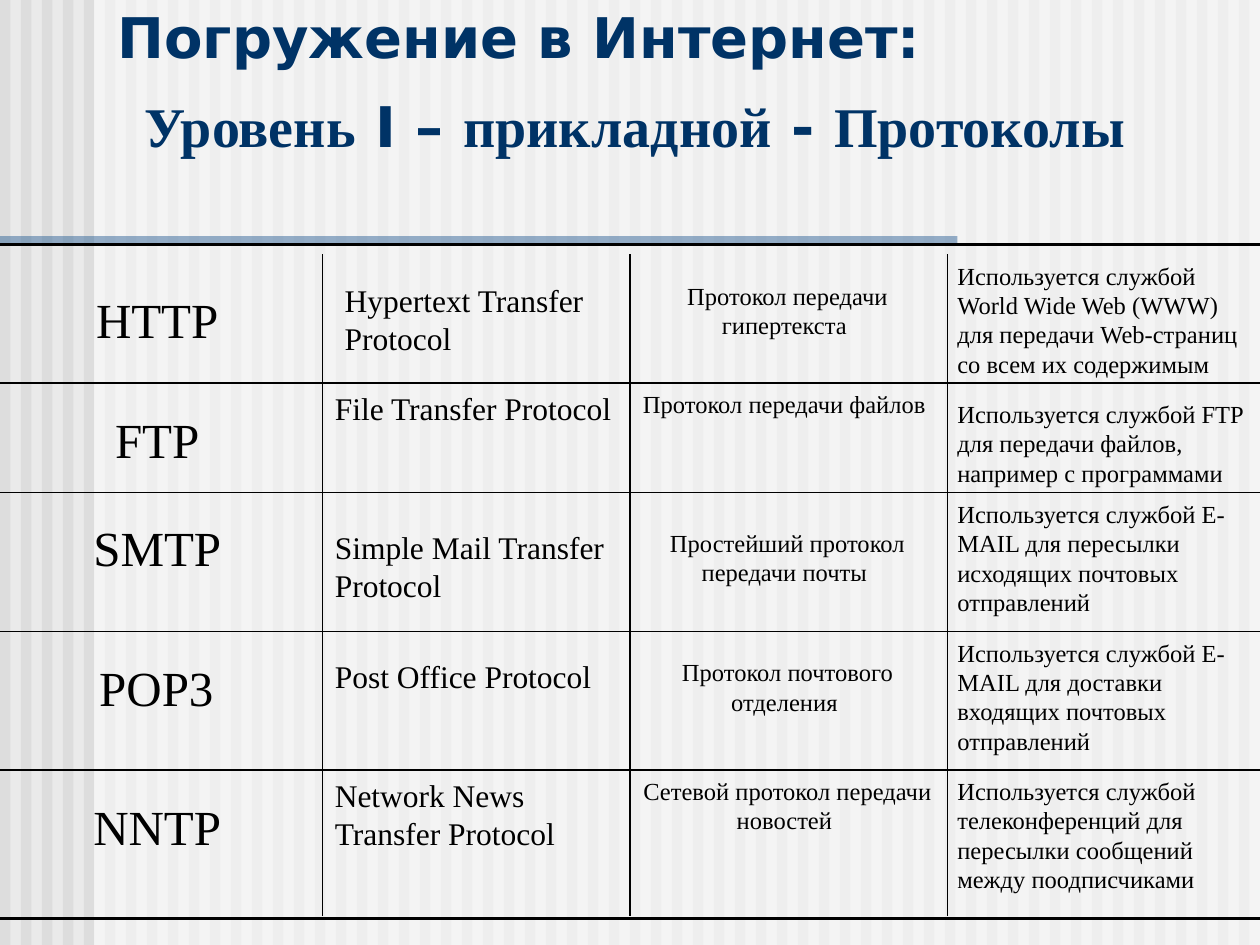
from lxml.etree import SubElement
from pptx import Presentation
from pptx.dml.color import RGBColor
from pptx.enum.shapes import MSO_CONNECTOR, MSO_SHAPE
from pptx.enum.text import MSO_ANCHOR, PP_ALIGN
from pptx.oxml.ns import qn
from pptx.util import Cm, Pt


def color(value):
    return RGBColor.from_string(value)


def add_band(left, top, width, height, fill, opacity=100):
    band = page.shapes.add_shape(MSO_SHAPE.RECTANGLE, Cm(left), Cm(top), Cm(width), Cm(height))
    band.shadow.inherit = False
    band.line.fill.background()
    band.fill.solid()
    band.fill.fore_color.rgb = color(fill)
    if opacity < 100:
        tint = band.fill._xPr.find(".//" + qn("a:srgbClr"))
        SubElement(tint, qn("a:alpha"), val=str(opacity * 1000))


WIDTH, HEIGHT = 25.4, 19.05
SERIF, SANS = "Times New Roman", "DejaVu Sans"

deck = Presentation()
deck.slide_width, deck.slide_height = Cm(WIDTH), Cm(HEIGHT)
page = deck.slides.add_slide(deck.slide_layouts[6])

# Striped background, white veil and accent bar
page.background.fill.solid()
page.background.fill.fore_color.rgb = color("EAEAEA")
STRIPES = 60
for number in range(STRIPES):
    add_band(number * WIDTH / STRIPES, 0, WIDTH / STRIPES / 2, HEIGHT, "DDDDDD")
add_band(1.9, 0, WIDTH - 1.9, HEIGHT, "FFFFFF", 50)
add_band(0, 4.76, 19.3, 0.2, "336699", 50)

# Title
title = page.shapes.add_textbox(Cm(2.12), Cm(-0.08), Cm(21.59), Cm(3.48))
title.text_frame.word_wrap = True
title.text_frame.vertical_anchor = MSO_ANCHOR.BOTTOM
para = title.text_frame.paragraphs[0]
title_spans = [
    ("Погружение в Интернет:", SANS, 32),
    (" ", SANS, 44),
    ("Уровень", SERIF, 32),
    (" I – ", SANS, 32),
    ("прикладной", SERIF, 32),
    (" - ", SANS, 32),
    ("Протоколы", SERIF, 32),
]
for index, (text, font, size) in enumerate(title_spans):
    if index == 1:
        para.add_line_break()
    span = para.add_run()
    span.text = text
    span.font.name, span.font.size = font, Pt(size)
para.font.bold = True
para.font.color.rgb = color("003366")

# Protocol grid: left, width, text size and alignment of each column
columns = [
    (0, 6.55, 28, PP_ALIGN.CENTER),
    (6.5, 6.15, 18, PP_ALIGN.LEFT),
    (12.7, 6.35, 14, PP_ALIGN.CENTER),
    (19.05, 6.35, 14, PP_ALIGN.LEFT),
]
# Each cell: text, top, height
rows = [
    [("HTTP ", 5.72, 1.96),
     ("Hypertext Transfer Protocol", 5.54, 2.39),
     ("Протокол передачи гипертекста ", 5.54, 2.13),
     ("Используется службой World Wide Web (WWW) для передачи Web-страниц "
      "со всем их содержимым", 5.13, 2.74)],
    [("FTP ", 8.13, 1.78),
     ("File Transfer Protocol", 7.72, 2.36),
     ("Протокол передачи файлов ", 7.72, 2.36),
     ("Используется службой FTP для передачи файлов, например с программами", 7.92, 2.01)],
    [("SMTP ", 10.31, 2.54),
     ("Simple Mail Transfer Protocol", 10.52, 2.13),
     ("Простейший протокол передачи почты ", 10.52, 2.34),
     ("Используется службой E-MAIL для пересылки исходящих почтовых отправлений", 9.93, 2.74)],
    [("POP3 ", 13.13, 2.34),
     ("Post Office Protocol", 13.13, 2.13),
     ("Протокол почтового отделения ", 13.13, 2.34),
     ("Используется службой E-MAIL для доставки входящих почтовых отправлений", 12.73, 2.54)],
    [("NNTP ", 15.93, 2.54),
     ("Network News Transfer Protocol", 15.52, 2.74),
     ("Сетевой протокол передачи новостей ", 15.52, 2.74),
     ("Используется службой телеконференций для пересылки сообщений "
      "между поодписчиками", 15.52, 2.74)],
]
for row in rows:
    for (left, width, size, alignment), (text, top, height) in zip(columns, row):
        if text.startswith("Hypertext"):
            left += 0.2  # this cell is set slightly to the right
        box = page.shapes.add_textbox(Cm(left), Cm(top), Cm(width), Cm(height))
        box.text_frame.word_wrap = True
        para = box.text_frame.paragraphs[0]
        para.text = text
        para.alignment = alignment
        para.font.name, para.font.size = SERIF, Pt(size)
        para.font.color.rgb = color("000000")

# Grid rules: heavy at top and bottom, thin elsewhere
levels = [4.93, 7.72, 9.93, 12.73, 15.52, 18.52]
rules = [(0, y, WIDTH, y, 2 if y in (levels[0], levels[-1]) else 1) for y in levels]
rules += [(x, 5.13, x, 18.47, 1) for x in (6.5, 12.7, 19.1)]
for x1, y1, x2, y2, weight in rules:
    rule = page.shapes.add_connector(MSO_CONNECTOR.STRAIGHT, Cm(x1), Cm(y1), Cm(x2), Cm(y2))
    rule.line.color.rgb = color("000000")
    rule.line.width = Pt(weight)
    SubElement(rule._element.spPr, qn("a:effectLst"))

deck.save("out.pptx")
